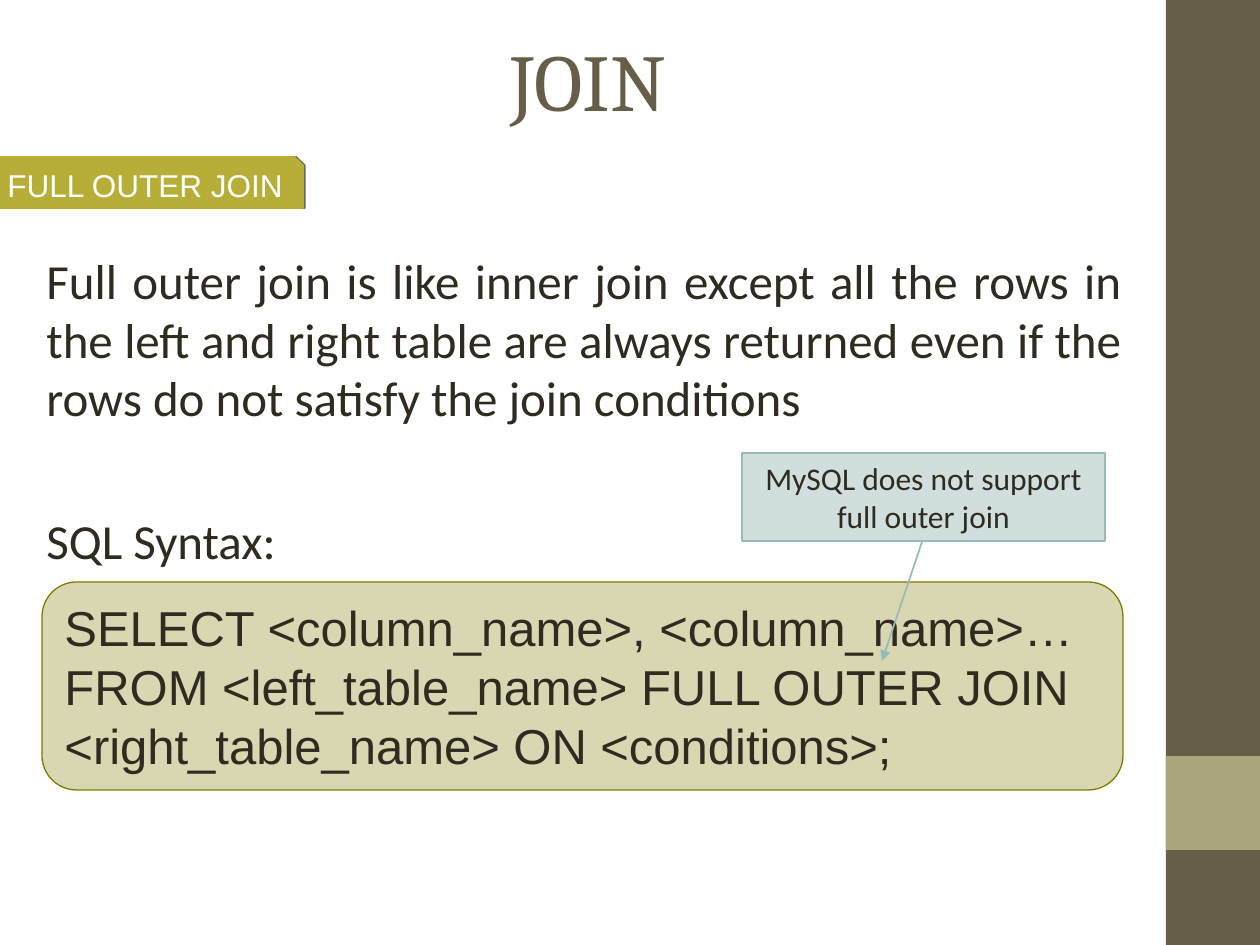
from lxml.etree import SubElement
from pptx import Presentation
from pptx.dml.color import RGBColor
from pptx.enum.shapes import MSO_CONNECTOR, MSO_SHAPE
from pptx.enum.text import MSO_ANCHOR, PP_ALIGN
from pptx.oxml.ns import qn
from pptx.util import Pt

EMU_PER_PX = 914400 / 126
INK = "2F2B20"
BROWN = "675E47"
OLIVE = "7F7B00"
TEAL = "98BBB9"


def px(*lengths):
    """Turn pixel lengths into EMU."""
    return [round(length * EMU_PER_PX) for length in lengths]


def rgb(value):
    """Turn a hex string into a colour."""
    return RGBColor.from_string(value)


class SlideBuilder:
    """Hold the style and the current slide."""

    def __init__(self, deck):
        """Add a title-only slide to the deck."""
        self.slide = deck.slides.add_slide(deck.slide_layouts[5])
        self.shapes = self.slide.shapes

    def set_text(self, frame, lines, size, font, color=INK, align=PP_ALIGN.LEFT,
                 anchor=MSO_ANCHOR.MIDDLE):
        """Fill a text frame with evenly styled paragraphs."""
        frame.word_wrap = True
        frame.vertical_anchor = anchor
        frame.text = "\n".join(lines)
        for paragraph in frame.paragraphs:
            paragraph.alignment = align
            for run in paragraph.runs:
                run.font.size = Pt(size)
                run.font.name = font
                run.font.color.rgb = rgb(color)

    def title(self, box, words):
        """Place and format the title placeholder."""
        heading = self.shapes.title
        heading.left, heading.top, heading.width, heading.height = px(*box)
        self.set_text(heading.text_frame, [words], 46, "Cambria", BROWN, PP_ALIGN.CENTER)

    def body(self, box, lines, gap):
        """Add justified text with a gap between paragraphs."""
        frame = self.shapes.add_textbox(*px(*box)).text_frame
        self.set_text(frame, lines, 28, "Calibri", align=PP_ALIGN.JUSTIFY, anchor=MSO_ANCHOR.TOP)
        for paragraph in frame.paragraphs[1:]:
            paragraph.space_before = Pt(gap)

    def panel(self, kind, box, fill, line=None, width=1, opacity=100):
        """Add a filled preset shape."""
        panel = self.shapes.add_shape(kind, *px(*box))
        panel.shadow.inherit = False
        panel.fill.solid()
        panel.fill.fore_color.rgb = rgb(fill)
        if opacity < 100:
            tint = panel._element.spPr.find(qn("a:solidFill"))[0]
            SubElement(tint, qn("a:alpha"), val=str(opacity * 1000))
        if line:
            panel.line.color.rgb = rgb(line)
            panel.line.width = Pt(width)
        else:
            panel.line.fill.background()
        return panel

    def edge_shadow(self, panel):
        """Cast a hard one-point shadow to the right."""
        effects = panel._element.spPr.find(qn("a:effectLst"))
        shadow = SubElement(effects, qn("a:outerShdw"), dist=str(int(Pt(1))), dir="0")
        shade = SubElement(shadow, qn("a:srgbClr"), val="000000")
        SubElement(shade, qn("a:alpha"), val="60000")

    def arrow(self, start, end, color):
        """Add a straight arrow."""
        arrow = self.shapes.add_connector(MSO_CONNECTOR.STRAIGHT, *px(*start, *end))
        arrow.line.color.rgb = rgb(color)
        arrow.line.width = Pt(1)
        properties = arrow._element.spPr
        SubElement(properties.find(qn("a:ln")), qn("a:tailEnd"), type="triangle")
        SubElement(properties, qn("a:effectLst"))


def main():
    """Build the slide on full outer joins."""
    deck = Presentation()
    deck.slide_width, deck.slide_height = px(1260, 945)
    page = SlideBuilder(deck)

    page.panel(MSO_SHAPE.RECTANGLE, (1166, 0, 94, 945), BROWN)
    page.panel(MSO_SHAPE.RECTANGLE, (1166, 756, 94, 94), "A9A57C")

    page.body((34, 244, 1100, 149), [
        "Full outer join is like inner join except all the rows in the left and right table "
        "are always returned even if the rows do not satisfy the join conditions",
        "SQL Syntax:",
    ], gap=48)
    page.title((63, 0, 1050, 158), "JOIN")

    syntax = page.panel(MSO_SHAPE.ROUNDED_RECTANGLE, (42, 582, 1081, 208), OLIVE, OLIVE, 0.75, 30)
    page.set_text(syntax.text_frame, [
        "SELECT <column_name>, <column_name>… FROM <left_table_name> FULL OUTER JOIN "
        "<right_table_name> ON <conditions>;",
    ], 28, "Arial")

    topic = page.panel(MSO_SHAPE.SNIP_1_RECTANGLE, (-5, 157, 308, 51), "B7AE38", "B7AE38")
    page.edge_shadow(topic)
    page.set_text(topic.text_frame, ["FULL OUTER JOIN"], 18, "Arial", "FFFFFF")

    support_note = page.panel(MSO_SHAPE.RECTANGLE, (742, 453, 363, 88), "D0DEDE", TEAL)
    page.set_text(support_note.text_frame, ["MySQL does not support full outer join"], 18,
                  "Calibri", align=PP_ALIGN.CENTER, anchor=MSO_ANCHOR.TOP)
    page.arrow((922, 542), (882, 661), TEAL)

    deck.save("out.pptx")


if __name__ == "__main__":
    main()
